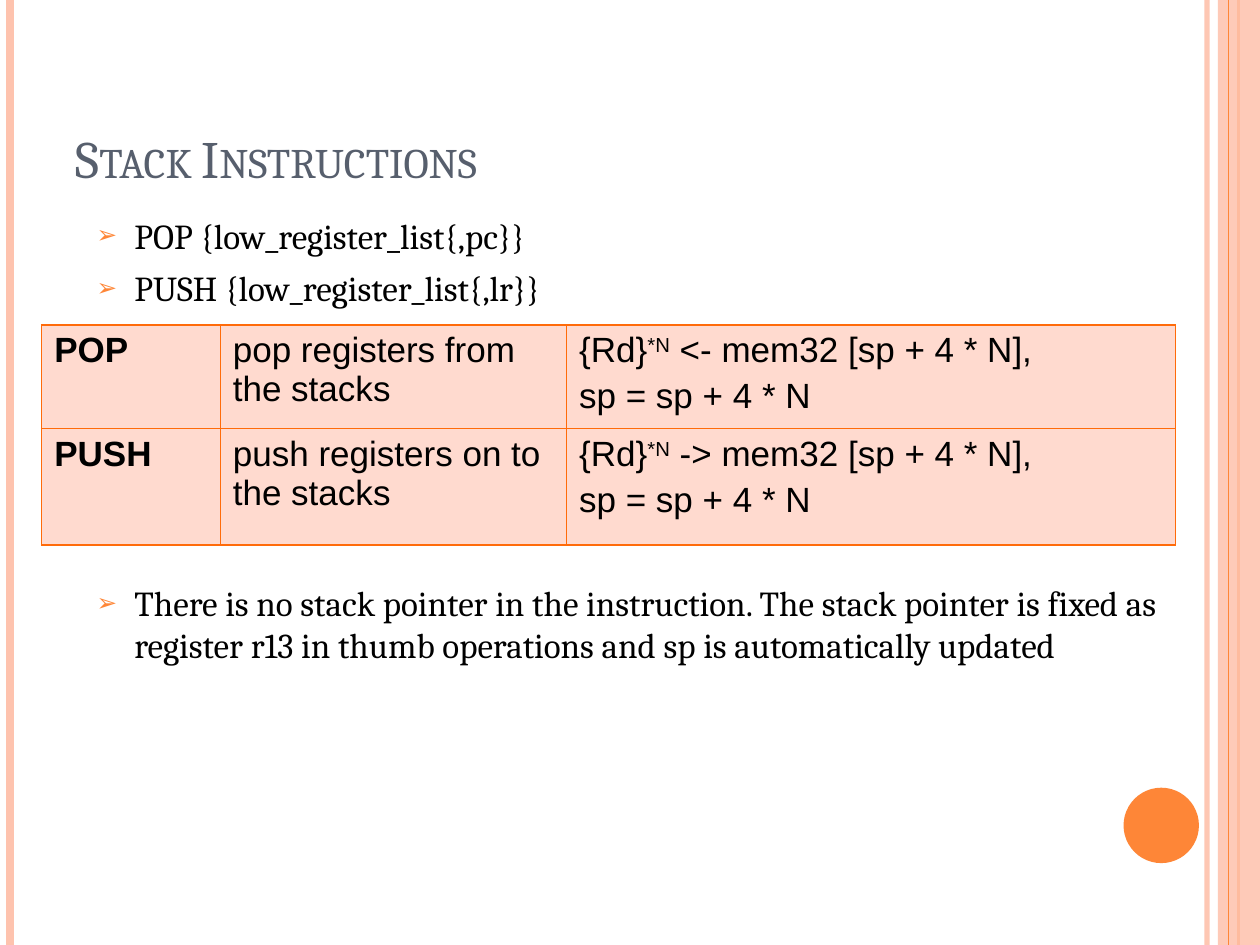
"""Build the Stack Instructions slide with its side bars, bullets and table."""
from lxml import etree
from pptx import Presentation
from pptx import util as u
from pptx.dml.color import RGBColor
from pptx.enum import shapes, text
from pptx.oxml import ns

ORANGE = RGBColor(0xFE, 0x86, 0x37)
PEACH = RGBColor(0xFE, 0xC3, 0xAE)
BORDER = RGBColor(0xFF, 0x6B, 0x0A)
CELL = RGBColor(0xFF, 0xDA, 0xCF)
SLATE = RGBColor(0x57, 0x5F, 0x6D)
BLACK = RGBColor(0, 0, 0)


def add_element(parent, tag, **attributes):
    return etree.SubElement(parent, ns.qn(tag), attributes)


def add_run(paragraph, words, font, size, color, bold=False):
    run = paragraph.add_run()
    run.text = words
    run.font.name = font
    run.font.size = u.Pt(size)
    run.font.color.rgb = color
    run.font.bold = bold
    return run.font._element


presentation = Presentation()
presentation.slide_width = u.Cm(25.4)
presentation.slide_height = u.Cm(19.05)
slide = presentation.slides.add_slide(presentation.slide_layouts[5])

bars = [(24.33, PEACH, 3, 93), (0.21, PEACH, 4.5, 100),
        (24.97, ORANGE, 1.5, 100)]
edge = [(24.77, ORANGE, 0.75, 100)]
for left, color, width, opacity in bars + edge:
    if left == edge[0][0]:
        band = slide.shapes.add_shape(shapes.MSO_SHAPE.RECTANGLE, u.Cm(24.55), 0,
                                      u.Cm(0.85), presentation.slide_height)
        band.shadow.inherit = False
        band.fill.solid()
        band.fill.fore_color.rgb = PEACH
        band.line.fill.background()
        band_color = band._element.spPr.find(".//" + ns.qn("a:srgbClr"))
        add_element(band_color, "a:alpha", val="87000")
    bar = slide.shapes.add_connector(shapes.MSO_CONNECTOR.STRAIGHT, u.Cm(left), 0,
                                     u.Cm(left), presentation.slide_height)
    bar.line.color.rgb = color
    bar.line.width = u.Pt(width)
    if opacity < 100:
        bar_color = bar._element.spPr.find(".//" + ns.qn("a:srgbClr"))
        add_element(bar_color, "a:alpha", val=str(opacity * 1000))
    add_element(bar._element.spPr, "a:effectLst")

circle = slide.shapes.add_shape(shapes.MSO_SHAPE.OVAL, u.Cm(22.65), u.Cm(15.88),
                                u.Cm(1.52), u.Cm(1.52))
circle.shadow.inherit = False
circle.fill.solid()
circle.fill.fore_color.rgb = ORANGE
circle.line.fill.background()

title = slide.shapes.title
title.left, title.top = u.Cm(1.27), u.Cm(0.76)
title.width, title.height = u.Cm(22.86), u.Cm(3.18)
title.text_frame.vertical_anchor = text.MSO_ANCHOR.BOTTOM
title_paragraph = title.text_frame.paragraphs[0]
title_paragraph.alignment = text.PP_ALIGN.LEFT
add_run(title_paragraph, "Stack Instructions", "Cambria", 30, SLATE).set("cap", "small")

body = slide.shapes.add_textbox(u.Cm(1.7), u.Cm(4.19), u.Cm(22.66), u.Cm(13.13))
body.text_frame.word_wrap = True
bullets = [
    ("POP {low_register_list{,pc}}", 6),
    ("PUSH {low_register_list{,lr}}", 6),
    ("There is no stack pointer in the instruction. The stack pointer is fixed as "
     "register r13 in thumb operations and sp is automatically updated", 156),
]
for index, (words, gap) in enumerate(bullets):
    paragraph = body.text_frame.paragraphs[0] if index == 0 else body.text_frame.add_paragraph()
    paragraph.space_before = u.Pt(gap)
    properties = paragraph._p.get_or_add_pPr()
    properties.set("marL", str(u.Cm(0.76)))
    properties.set("indent", str(-u.Cm(0.76)))
    bullet_color = add_element(properties, "a:buClr")
    add_element(bullet_color, "a:srgbClr", val=str(ORANGE))
    add_element(properties, "a:buSzPct", val="70000")
    add_element(properties, "a:buFont", typeface="Arial")
    add_element(properties, "a:buChar", char="➢")
    add_run(paragraph, words, "Cambria", 20, BLACK)

table = slide.shapes.add_table(2, 3, u.Cm(0.84), u.Cm(6.55), u.Cm(22.86), u.Cm(4.32)).table
table.first_row = False
table.horz_banding = False
for column, width in zip(table.columns, (3.6, 6.98, 12.28)):
    column.width = u.Cm(width)
for row, height in zip(table.rows, (1.97, 2.35)):
    row.height = u.Cm(height)

instructions = [("POP", "pop registers from the stacks", "<-"),
                ("PUSH", "push registers on to the stacks", "->")]
for row, (name, meaning, arrow) in zip(table.rows, instructions):
    contents = [[[name]], [[meaning]],
                [["{Rd}", "*N", f" {arrow} mem32 [sp + 4 * N],"], ["sp = sp + 4 * N"]]]
    for cell, lines in zip(row.cells, contents):
        for index, pieces in enumerate(lines):
            frame = cell.text_frame
            paragraph = frame.paragraphs[0] if index == 0 else frame.add_paragraph()
            paragraph.space_before = u.Pt(4)
            for piece in pieces:
                font = add_run(paragraph, piece, "Arial", 20, BLACK, bold=piece == name)
                if piece == "*N":
                    font.set("baseline", "30000")
        cell_properties = cell._tc.get_or_add_tcPr()
        for side in ("a:lnL", "a:lnR", "a:lnT", "a:lnB"):
            border = add_element(cell_properties, side, w=str(u.Pt(1)))
            border_fill = add_element(border, "a:solidFill")
            add_element(border_fill, "a:srgbClr", val=str(BORDER))
        cell.fill.solid()
        cell.fill.fore_color.rgb = CELL

presentation.save("out.pptx")
